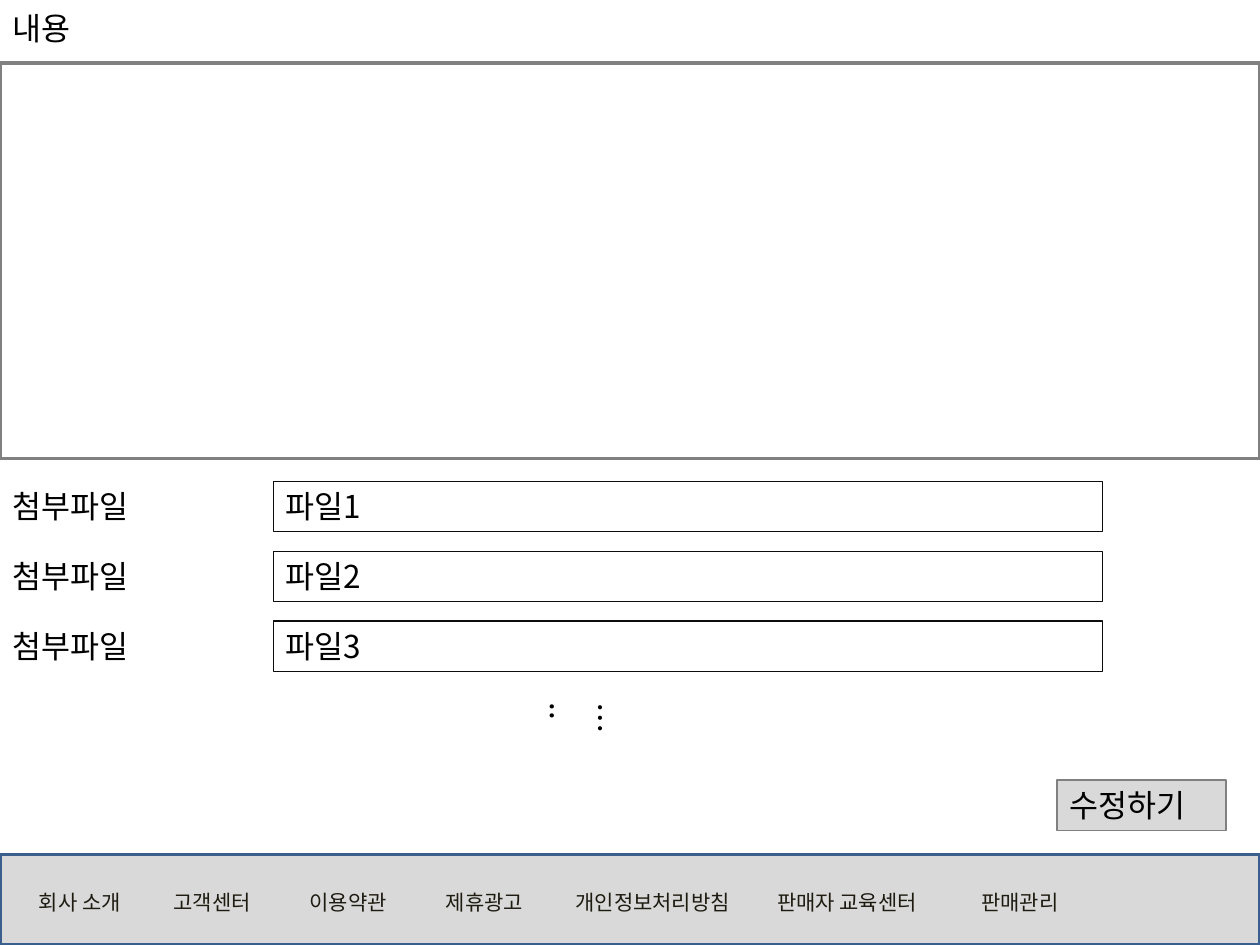
from pptx import Presentation
from pptx.dml.color import RGBColor as Rgb
from pptx.enum.shapes import MSO_SHAPE as Kind
from pptx.enum.text import MSO_AUTO_SIZE as Fit, MSO_ANCHOR as Anchor, PP_ALIGN as Align
from pptx.oxml.ns import qn
from pptx.util import Inches, Pt
from lxml.etree import SubElement as Sub

FONT = "Noto Sans CJK KR"
CELL = 0.1  # inches per grid column and row
GRAY, EDGE = "D9D9D9", "808080"


def color(code):
    return Rgb.from_string(code)


def grid(*units):
    return [Inches(u * CELL) for u in units]


def write(shape, text, size=18, ink="000000", tabs=(), vert=None):
    frame = shape.text_frame
    frame.word_wrap = True
    frame.auto_size = Fit.SHAPE_TO_FIT_TEXT
    frame.vertical_anchor = Anchor.TOP
    if vert:
        frame._txBody.bodyPr.set("vert", vert)
    para = frame.paragraphs[0]
    para.alignment = Align.LEFT
    if tabs:
        stops = Sub(para._p.get_or_add_pPr(), qn("a:tabLst"))
        for stop in grid(*tabs):
            Sub(stops, qn("a:tab"), pos=str(stop), algn="l")
    run = para.add_run()
    run.text = text
    font = run.font
    font.size, font.name = Pt(size), FONT
    font.color.rgb = color(ink)
    Sub(font._element, qn("a:ea"), typeface=FONT)


class Page:
    def __init__(self, slide):
        self.slide = slide

    def rect(self, area, fill=None, line=EDGE, width=0.75):
        box = self.slide.shapes.add_shape(Kind.RECTANGLE, *grid(*area))
        box.shadow.inherit = False
        if fill:
            box.fill.solid()
            box.fill.fore_color.rgb = color(fill)
        else:
            box.fill.background()
        box.line.color.rgb = color(line)
        box.line.width = Pt(width)
        return box

    def text(self, area, words, **style):
        write(self.slide.shapes.add_textbox(*grid(*area)), words, **style)


def main():
    deck = Presentation()
    deck.slide_width, deck.slide_height = grid(100, 75)
    page = Page(deck.slides.add_slide(deck.slide_layouts[6]))

    # Footer bar with its menu
    page.rect((0, 67.8, 100, 7.2), GRAY, "3A5F8C", 2)
    menu = ["회사 소개", "고객센터", "이용약관", "제휴광고",
            "개인정보처리방침", "판매자 교육센터", "판매관리"]
    page.text((2.1, 70.1, 95.3, 2.3), "\t".join(menu), size=12, ink="1E1C11",
              tabs=(10.7, 21.5, 32.3, 42.6, 58.6, 74.8))

    # Edit button
    write(page.rect((83.9, 61.9, 13.4, 4), GRAY), "수정하기")

    # Content field
    page.text((0, 0.2, 12.6, 4), "내용")
    page.rect((0, 5, 100, 31.4), "FFFFFF", width=2)

    # Attached files
    for i in range(3):
        top = 38.2 + 5.55 * i
        page.text((0, top, 15.4, 4), "첨부파일")
        write(page.rect((21.7, top, 65.8, 4), line="0D0D0D"), f"파일{i + 1}")

    # More files follow
    page.text((44.7, 54.8, 5, 3.9), "…..", vert="eaVert")

    deck.save("out.pptx")


if __name__ == "__main__":
    main()
